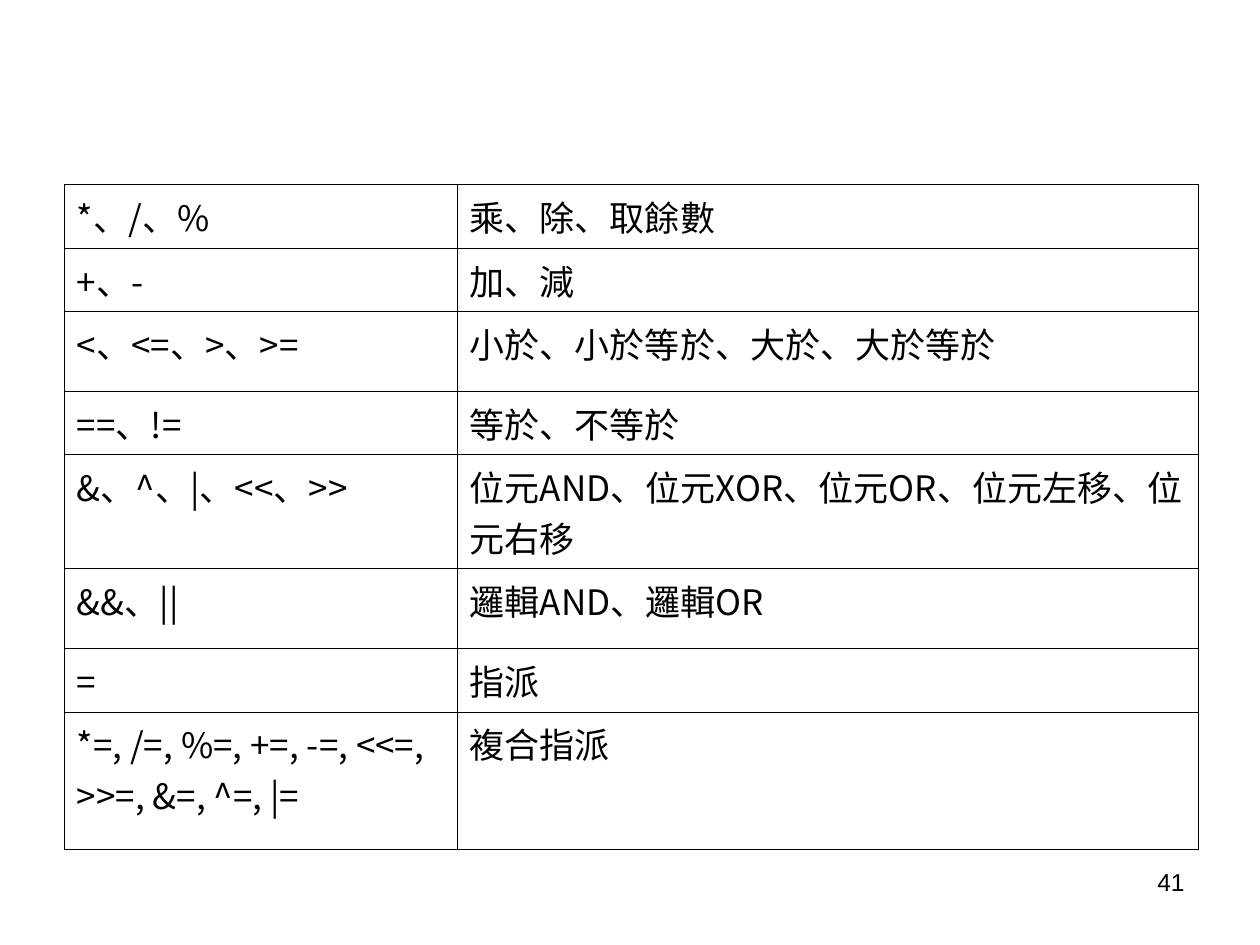
from lxml.etree import SubElement
from pptx import Presentation
from pptx.dml.color import RGBColor
from pptx.enum.text import PP_ALIGN
from pptx.oxml.ns import qn
from pptx.util import Pt

BLACK = "000000"
TABLE_FONT = "Noto Sans CJK SC"
COLUMN_WIDTHS = (224.5, 423.5)
# Row height in points, operators, meaning
OPERATOR_ROWS = (
    (33, "*、/、%", "乘、除、取餘數"),
    (34, "+、-", "加、減"),
    (45.5, "<、<=、>、>=", "小於、小於等於、大於、大於等於"),
    (34, "==、!=", "等於、不等於"),
    (55.5, "&、^、|、<<、>>", "位元AND、位元XOR、位元OR、位元左移、位元右移"),
    (45.5, "&&、||", "邏輯AND、邏輯OR"),
    (35, "=", "指派"),
    (78.5, "*=, /=, %=, +=, -=, <<=, >>=, &=, ^=, |=", "複合指派"),
)


def color(value):
    return RGBColor.from_string(value)


def format_text(frame, font_name, size):
    """Style every run, for Latin and East Asian characters alike."""
    for para in frame.paragraphs:
        for span in para.runs:
            span.font.name = font_name
            span.font.size = Pt(size)
            span.font.color.rgb = color(BLACK)
            east_asian = SubElement(span.font._element, qn("a:ea"))
            east_asian.set("typeface", font_name)


def add_borders(cell, width):
    properties = cell._tc.get_or_add_tcPr()
    for side in ("lnL", "lnR", "lnT", "lnB"):
        line = SubElement(properties, qn(f"a:{side}"), w=str(Pt(width)))
        fill = SubElement(line, qn("a:solidFill"))
        SubElement(fill, qn("a:srgbClr"), val=BLACK)


def add_operator_table(page, left, top):
    heights = [row[0] for row in OPERATOR_ROWS]
    table = page.shapes.add_table(
        len(OPERATOR_ROWS), len(COLUMN_WIDTHS), Pt(left), Pt(top),
        Pt(sum(COLUMN_WIDTHS)), Pt(sum(heights))).table
    table.first_row = False
    table.horz_banding = False
    for column, width in zip(table.columns, COLUMN_WIDTHS):
        column.width = Pt(width)
    for row, (height, *texts) in zip(table.rows, OPERATOR_ROWS):
        row.height = Pt(height)
        for cell, text in zip(row.cells, texts):
            cell.text_frame.text = text
            format_text(cell.text_frame, TABLE_FONT, 20)
            add_borders(cell, 0.45)
            cell.fill.background()


def add_page_number(page, number, left, top, width, height):
    box = page.shapes.add_textbox(Pt(left), Pt(top), Pt(width), Pt(height))
    frame = box.text_frame
    frame.word_wrap = True
    frame.text = number
    frame.paragraphs[0].alignment = PP_ALIGN.RIGHT
    format_text(frame, "Arial", 14)


def main():
    deck = Presentation()
    deck.slide_width, deck.slide_height = Pt(720), Pt(540)
    page = deck.slides.add_slide(deck.slide_layouts[6])
    add_operator_table(page, 36.75, 105.5)
    add_page_number(page, "41", 516, 492, 168, 37.5)
    deck.save("out.pptx")


if __name__ == "__main__":
    main()
